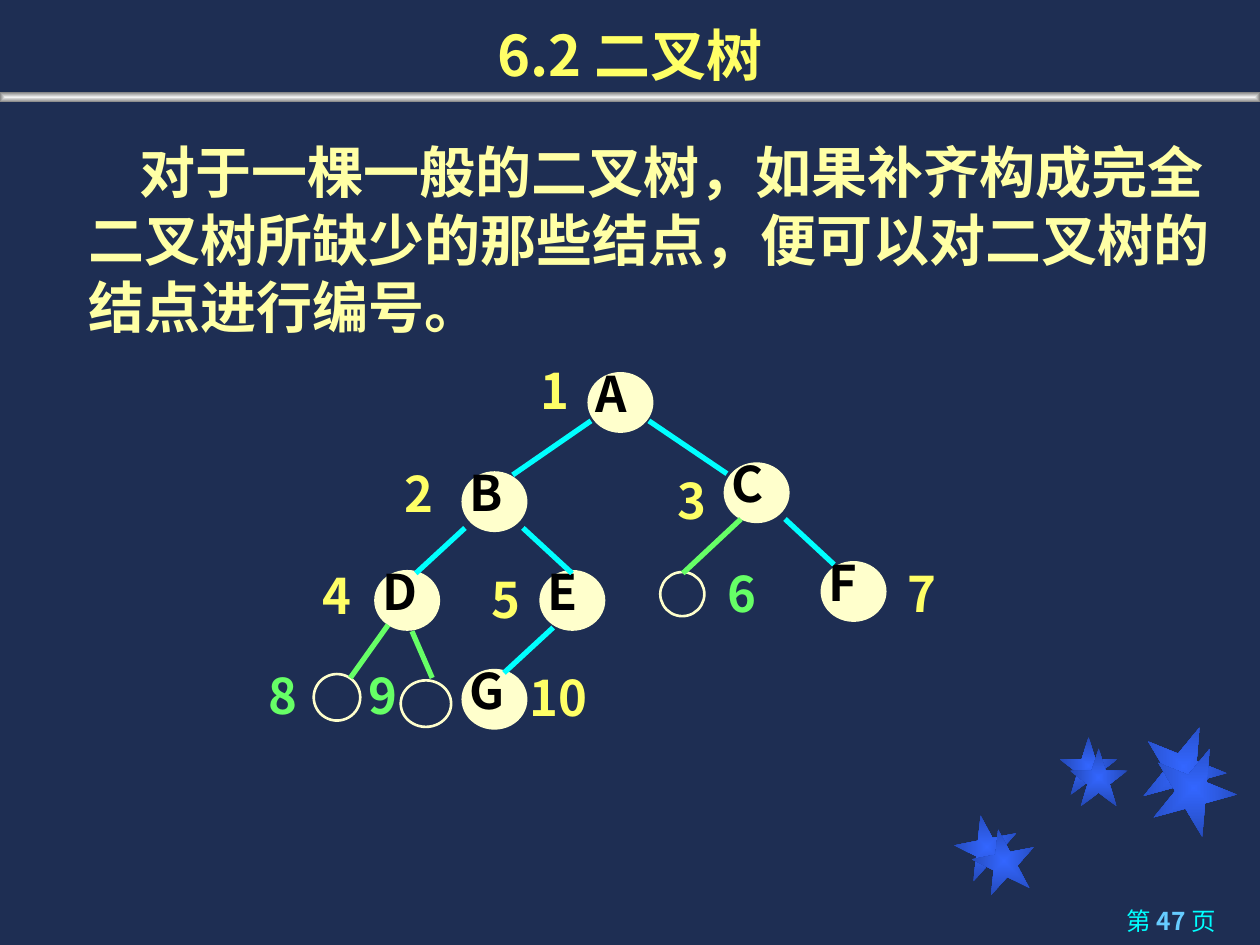
from lxml import etree
from pptx import Presentation
from pptx.dml.color import RGBColor
from pptx.enum.shapes import MSO_CONNECTOR, MSO_SHAPE
from pptx.enum.text import MSO_ANCHOR, PP_ALIGN
from pptx.oxml.ns import qn
from pptx.util import Pt

LEFT, CENTER, RIGHT = PP_ALIGN.LEFT, PP_ALIGN.CENTER, PP_ALIGN.RIGHT
OVAL, STAR, RECTANGLE = MSO_SHAPE.OVAL, MSO_SHAPE.STAR_5_POINT, MSO_SHAPE.RECTANGLE
STRAIGHT = MSO_CONNECTOR.STRAIGHT
FONT = "Noto Sans CJK SC"
COLORS = {
    "background": "1E2E53", "yellow": "FFFF66", "cream": "FFFFA5", "node": "FFFFCC",
    "cyan": "00FFFF", "green": "66FF66", "sky": "66CCFF", "black": "000000",
    "star": "3366FF", "star edge": "2449B6", "bar": "F2F2F2", "bar edge": "808080",
}
RGB = {name: RGBColor.from_string(value) for name, value in COLORS.items()}


def write_text(shape, runs, size, align=LEFT, anchor=MSO_ANCHOR.TOP, inset=7.2):
    """Fill a shape with one paragraph of (text, color, bold) runs."""
    frame = shape.text_frame
    frame_format = {
        "word_wrap": True, "vertical_anchor": anchor, "margin_left": Pt(inset),
        "margin_right": Pt(7.2), "margin_top": Pt(3.6), "margin_bottom": Pt(3.6),
    }
    for name, value in frame_format.items():
        setattr(frame, name, value)
    paragraph = frame.paragraphs[0]
    paragraph.alignment = align
    paragraph.line_spacing = Pt(round(size * 1.207, 1))
    for text, color, bold in runs:
        run = paragraph.add_run()
        run.text = text
        for name, value in {"name": FONT, "size": Pt(size), "bold": bold}.items():
            setattr(run.font, name, value)
        run.font.color.rgb = RGB[color]
        east_asian = etree.SubElement(run.font._element, qn("a:ea"))
        east_asian.set("typeface", FONT)
    return paragraph


def add_glow_shape(kind, box, inner, outer, rotation=0):
    """Add a borderless shape whose gradient runs from its centre outwards."""
    shape = slide.shapes.add_shape(kind, *map(Pt, box))
    shape.rotation = rotation
    shape.shadow.inherit = False
    shape.line.fill.background()
    shape.fill.gradient()
    for stop, color, position in zip(shape.fill.gradient_stops, (inner, outer), (0, 1)):
        stop.color.rgb = RGB[color]
        stop.position = position
    gradient = shape._element.spPr.find(qn("a:gradFill"))
    gradient.remove(gradient.find(qn("a:lin")))
    direction = etree.SubElement(gradient, qn("a:path"), {"path": "shape"})
    etree.SubElement(direction, qn("a:fillToRect"), dict.fromkeys("ltrb", "50000"))


presentation = Presentation()
presentation.slide_width, presentation.slide_height = Pt(720), Pt(540)
slide = presentation.slides.add_slide(presentation.slide_layouts[5])
slide.background.fill.solid()
slide.background.fill.fore_color.rgb = RGB["background"]

# Stars: left, top, size, rotation
for left, top, size, rotation in [
    (545.8, 465.8, 36, 349), (605.5, 421.2, 33.1, 0), (652.3, 414, 48.2, 22),
    (555.8, 473.8, 36, 349), (611.3, 427.7, 33.1, 0), (658.1, 426.2, 48.2, 22),
]:
    add_glow_shape(STAR, (left, top, size, size), "star", "star edge", rotation)

# Bar below the title
add_glow_shape(RECTANGLE, (0, 52.6, 720, 5.8), "bar", "bar edge")

# Page number
page_box = slide.shapes.add_textbox(Pt(512.6), Pt(514), Pt(189.4), Pt(26))
write_text(page_box, [("第 ", "cyan", False), ("47 ", "sky", True), ("页", "cyan", False)],
           14, RIGHT)

# Title
title = slide.shapes.title
for name, value in {"left": 0, "top": 0, "width": 720, "height": 54}.items():
    setattr(title, name, Pt(value))
write_text(title, [("6.2 二叉树", "yellow", True)], 32, CENTER, MSO_ANCHOR.BOTTOM)

# Explanation, first line indented
body = slide.shapes.add_textbox(Pt(16.6), Pt(75), Pt(689.8), Pt(129.6))
paragraph = write_text(body, [(
    "对于一棵一般的二叉树，如果补齐构成完全二叉树所缺少的那些结点，便可以对二叉树的结点进行编号。",
    "cream", True)], 32)
paragraph._p.get_or_add_pPr().set("marL", str(Pt(27)))
paragraph._p.get_or_add_pPr().set("indent", str(Pt(29)))

# Tree nodes with their letters
for letter, left, top in [
    ("A", 336.2, 213.1), ("F", 469.4, 321.1), ("G", 264.2, 382.7), ("E", 308.7, 326.2),
    ("D", 214.3, 326.2), ("C", 414, 264.7), ("B", 264.2, 269.8),
]:
    node = slide.shapes.add_shape(OVAL, Pt(left), Pt(top), Pt(36.7), Pt(33.8))
    node.shadow.inherit = False
    node.fill.solid()
    node.fill.fore_color.rgb = RGB["node"]
    node.line.color.rgb = RGB["node"]
    node.line.width = Pt(1)
    letter_box = slide.shapes.add_textbox(Pt(left - 9.4), Pt(top - 9), Pt(66.2), Pt(41))
    write_text(letter_box, [(letter, "black", True)], 28, inset=13.5)

# Missing nodes
for left, top, width, height in [
    (377.3, 326.9, 25.2, 25.2), (179.3, 385.2, 26.6, 26.6), (229, 388.8, 28.8, 26.6),
]:
    missing = slide.shapes.add_shape(OVAL, Pt(left), Pt(top), Pt(width), Pt(height))
    missing.shadow.inherit = False
    missing.fill.background()
    missing.line.color.rgb = RGB["node"]
    missing.line.width = Pt(1.5)

# Branches: cyan to real nodes, green to missing ones
branches = {
    "cyan": [
        (337.7, 240.5, 293, 271.4), (370.8, 240.5, 415.4, 270.7),
        (298.8, 301.7, 326.9, 327.6), (316.1, 358.6, 288, 384.5),
        (265.7, 301.7, 237.6, 327.6), (448.6, 296.6, 476.6, 322.6),
    ],
    "green": [
        (423.4, 296.6, 390.2, 327.6), (221.8, 357.1, 200.2, 387.4),
        (235.4, 360.7, 247, 387.4),
    ],
}
for color, lines in branches.items():
    for ends in lines:
        branch = slide.shapes.add_connector(STRAIGHT, *map(Pt, ends))
        branch.line.color.rgb = RGB[color]
        branch.line.width = Pt(3)
        etree.SubElement(branch._element.spPr, qn("a:effectLst"))

# Node numbers
for number, left, top, color in [
    (1, 292.3, 202.3, "yellow"), (2, 214.6, 261.4, "yellow"), (3, 370.8, 265, "yellow"),
    (4, 167.8, 319.7, "yellow"), (5, 264.2, 321.8, "yellow"), (6, 398.9, 318.2, "green"),
    (7, 501.8, 318.2, "yellow"), (8, 136.8, 376.6, "green"), (9, 193.7, 376.6, "green"),
    (10, 292.3, 378, "yellow"),
]:
    width = 54 if number == 10 else 49.7
    number_box = slide.shapes.add_textbox(Pt(left), Pt(top), Pt(width), Pt(41))
    write_text(number_box, [(str(number), color, True)], 28, CENTER)

presentation.save("out.pptx")
